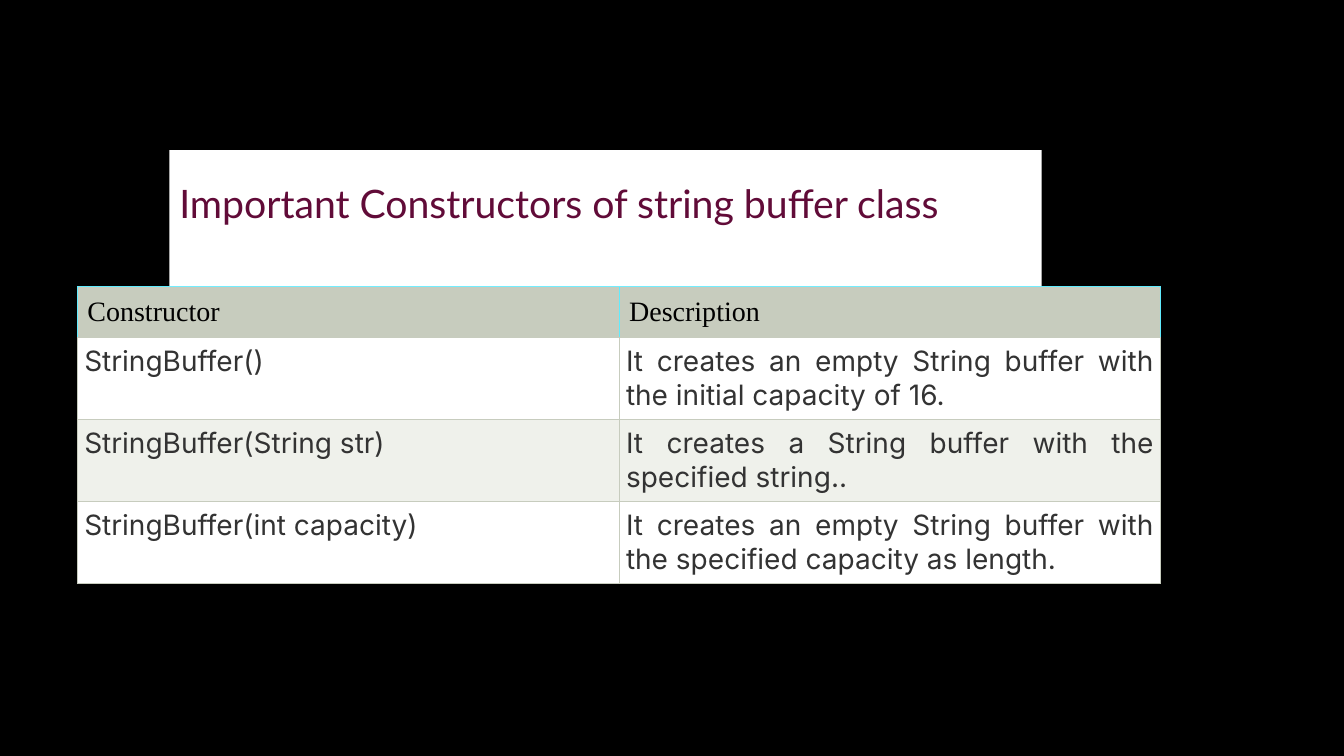
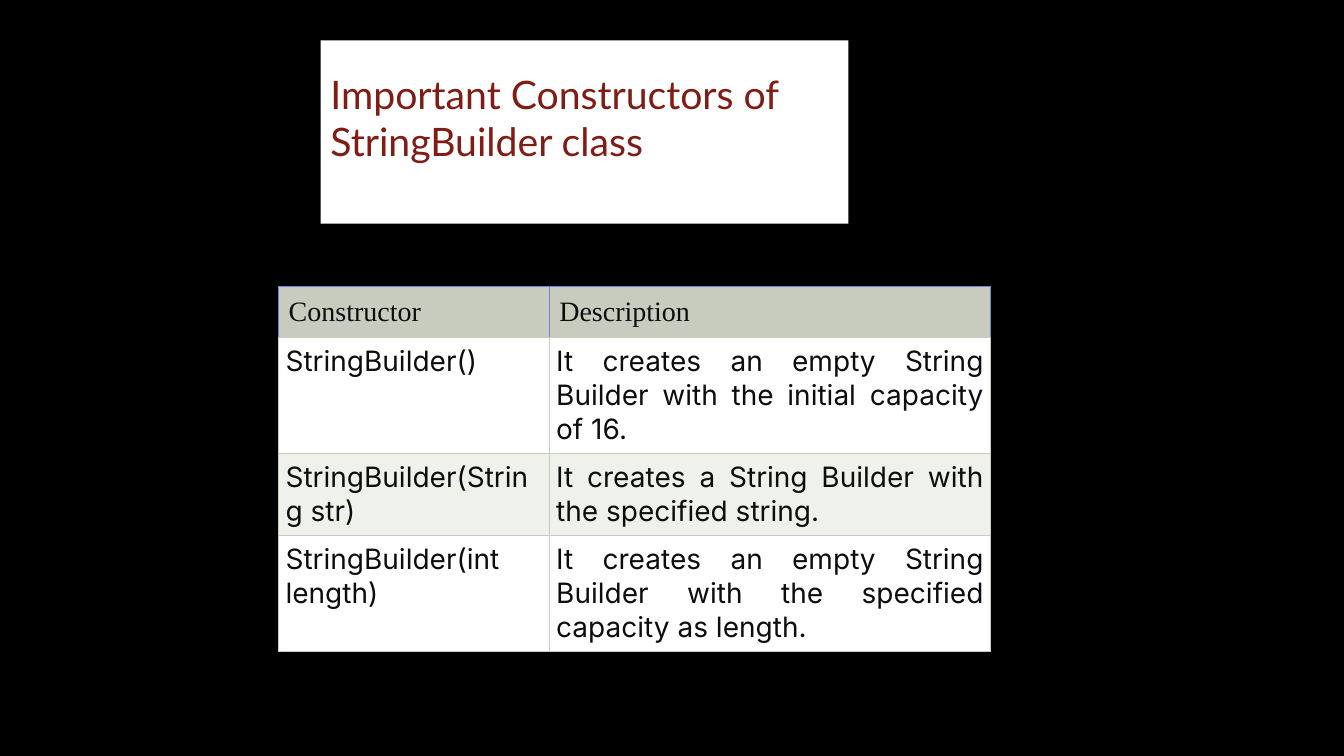
"""Builds two slides listing the constructors of Java string classes."""
from lxml.etree import SubElement
from pptx import Presentation
from pptx.dml.color import RGBColor
from pptx.enum.shapes import MSO_SHAPE as Shape
from pptx.enum.text import MSO_ANCHOR as Anchor, PP_ALIGN as Align
from pptx.oxml.ns import qn
from pptx.util import Pt

BLACK, WHITE, SAGE, PALE = "000000", "FFFFFF", "C7CCBE", "EFF1EB"
HEAD = ("Constructor", "Description")
TOP = 204.5
LINE = 0.6


def color(hex):
    return RGBColor.from_string(hex)


def paint(fill, hex):
    fill.solid()
    fill.fore_color.rgb = color(hex)


def write(frame, text, font, size, hex, align=Align.LEFT):
    para = frame.paragraphs[0]
    para.alignment = align
    run = para.add_run()
    run.text = text
    run.font.name = font
    run.font.size = Pt(size)
    run.font.color.rgb = color(hex)


def add_title(slide, text, hex, box):
    shape = slide.shapes.add_shape(Shape.RECTANGLE, *map(Pt, box))
    shape.shadow.inherit = False
    paint(shape.fill, WHITE)
    shape.line.fill.background()
    frame = shape.text_frame
    frame.word_wrap = True
    frame.vertical_anchor = Anchor.MIDDLE
    frame.margin_left = frame.margin_right = Pt(7.2)
    frame.margin_top, frame.margin_bottom = Pt(3.6), Pt(25.2)
    write(frame, text, "Lato", 28, hex)


def add_edges(cell, edge):
    props = cell._tc.get_or_add_tcPr()
    for side, hex in zip("LRTB", (edge, edge, edge, SAGE)):
        line = SubElement(props, qn(f"a:ln{side}"), w=str(Pt(LINE)))
        fill = SubElement(line, qn("a:solidFill"))
        SubElement(fill, qn("a:srgbClr"), val=hex)


def fill_cell(cell, text, font, ink, back, edge, pad, align):
    add_edges(cell, edge)
    paint(cell.fill, back)
    cell.margin_left = cell.margin_right = Pt(pad)
    cell.margin_top = cell.margin_bottom = Pt(pad)
    write(cell.text_frame, text, font, 20, ink, align)


def add_table(slide, left, cols, highs, rows, edge, head_ink, ink):
    frame = slide.shapes.add_table(
        len(rows) + 1, len(cols), Pt(left), Pt(TOP), Pt(sum(cols)), Pt(sum(highs)))
    table = frame.table
    table.first_row = table.horz_banding = False
    for col, width in zip(table.columns, cols):
        col.width = Pt(width)
    for row, high in zip(table.rows, highs):
        row.height = Pt(high)
    for c, text in enumerate(HEAD):
        fill_cell(table.cell(0, c), text, "Times New Roman", head_ink,
                  SAGE, edge, 7.2, Align.LEFT)
    for r, row in enumerate(rows, 1):
        back = WHITE if r % 2 else PALE
        for c, text in enumerate(row):
            fill_cell(table.cell(r, c), text, "Inter", ink,
                      back, SAGE, 5, Align.JUSTIFY)


def add_slide(deck):
    slide = deck.slides.add_slide(deck.slide_layouts[6])
    paint(slide.background.fill, BLACK)
    return slide


def main():
    deck = Presentation()
    deck.slide_width, deck.slide_height = Pt(960), Pt(540)

    slide = add_slide(deck)
    add_table(slide, 55.2, (387, 387), (36, 58, 58, 58), (
        ("StringBuffer()",
         "It creates an empty String buffer with the initial capacity of 16."),
        ("StringBuffer(String str)",
         "It creates a String buffer with the specified string.."),
        ("StringBuffer(int capacity)",
         "It creates an empty String buffer with the specified capacity as length."),
    ), "60EBFE", BLACK, "333333")
    add_title(slide, "Important Constructors of string buffer class",
              "610B38", (121, 107.3, 623, 97.2))

    slide = add_slide(deck)
    add_table(slide, 199, (193.3, 315.4), (36, 82, 58, 82), (
        ("StringBuilder()",
         "It creates an empty String Builder with the initial capacity of 16."),
        ("StringBuilder(String str)",
         "It creates a String Builder with the specified string."),
        ("StringBuilder(int length)",
         "It creates an empty String Builder with the specified capacity as length."),
    ), "7080DC", "0D0D0D", "0D0D0D")
    add_title(slide, "Important Constructors of StringBuilder class",
              "801C14", (229, 28.8, 377, 131))

    deck.save("out.pptx")


if __name__ == "__main__":
    main()
